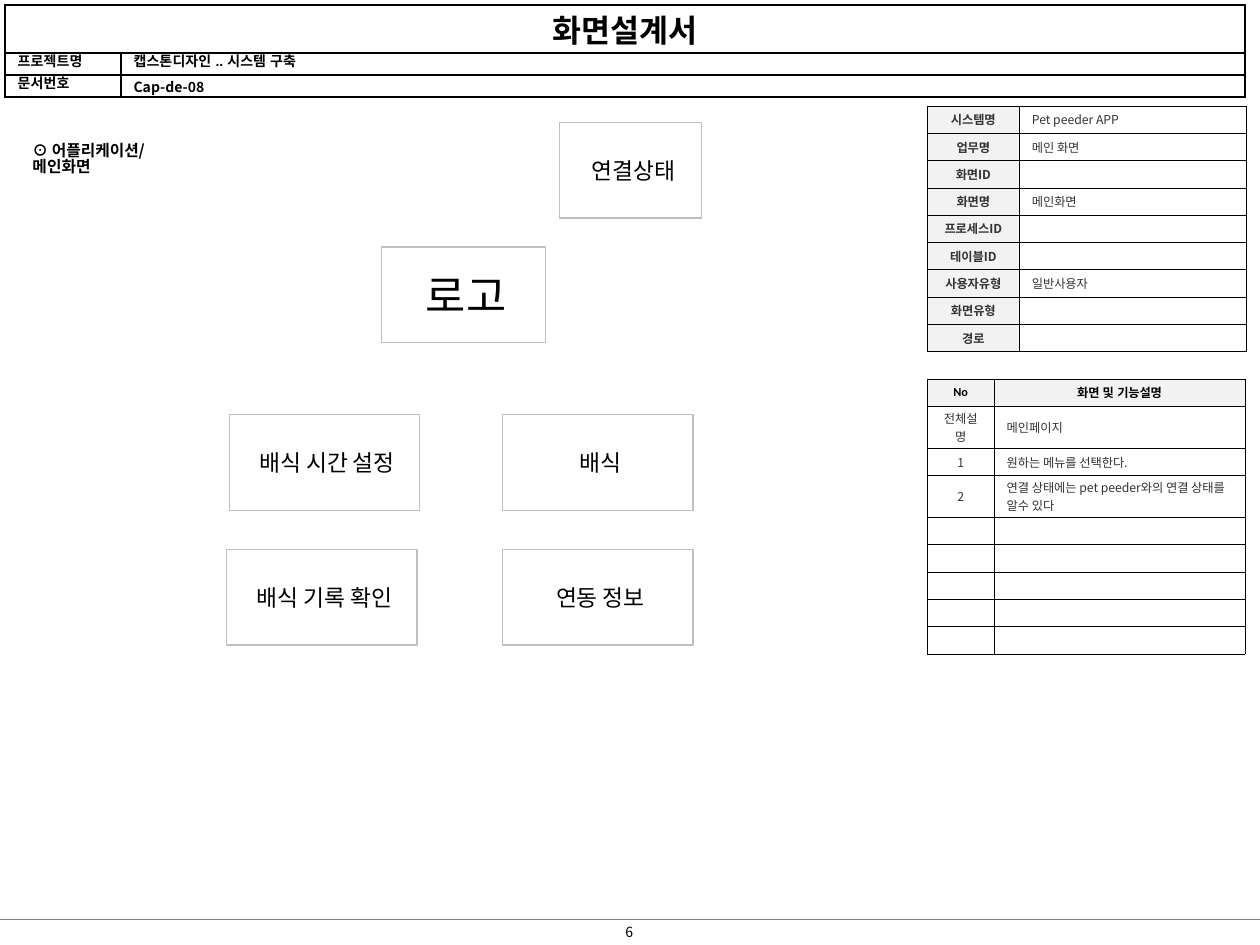
import dataclasses

import lxml.etree
import pptx
import pptx.dml.color
import pptx.enum.shapes
import pptx.enum.text
import pptx.oxml.ns
import pptx.util

Inches = pptx.util.Inches
Pt = pptx.util.Pt
RGB = pptx.dml.color.RGBColor.from_string
ALIGN = pptx.enum.text.PP_ALIGN
MIDDLE = pptx.enum.text.MSO_ANCHOR.MIDDLE
qn = pptx.oxml.ns.qn


@dataclasses.dataclass(frozen=True)
class Theme:
    """Colours, fonts and type sizes of the screen design sheet."""
    ink: str = "000000"
    body: str = "333333"
    paper: str = "FFFFFF"
    label: str = "F2F2F2"
    frame: str = "BFBFBF"
    rule: str = "808080"
    sans: str = "Noto Sans CJK KR"
    latin: str = "Arial"
    number: str = "Calibri"
    title: float = 18
    meta: float = 8
    heading: float = 9
    cell: float = 7
    button: float = 13
    logo: float = 25


THEME = Theme()


def add_run(paragraph, text, size, font=THEME.sans, color=THEME.ink, bold=False):
    """Add one styled run, with the same font for Latin and Korean."""
    run = paragraph.add_run()
    run.text = text
    run.font.size = Pt(size)
    run.font.bold = bold
    run.font.name = font
    run.font.color.rgb = RGB(color)
    lxml.etree.SubElement(run.font._element, qn("a:ea"), typeface=font)


def set_insets(holder, left, top, right, bottom):
    """Set the inner margins of a cell or text frame in inches."""
    holder.margin_left, holder.margin_top = Inches(left), Inches(top)
    holder.margin_right, holder.margin_bottom = Inches(right), Inches(bottom)


def style_cell(cell, border, fill, top=0.02, bottom=0.02):
    """Give a cell its borders, fill and margins."""
    properties = cell._tc.get_or_add_tcPr()
    for side in ("a:lnL", "a:lnR", "a:lnT", "a:lnB"):
        line = lxml.etree.SubElement(properties, qn(side), w=str(Pt(border)))
        solid = lxml.etree.SubElement(line, qn("a:solidFill"))
        lxml.etree.SubElement(solid, qn("a:srgbClr"), val=THEME.ink)
    if fill:
        cell.fill.solid()
        cell.fill.fore_color.rgb = RGB(fill)
    else:
        cell.fill.background()
    set_insets(cell, 0.1, top, 0.1, bottom)


def write_cell(cell, text, size, align=ALIGN.LEFT, **style):
    """Write a cell's text, or keep its empty line at the text size."""
    paragraph = cell.text_frame.paragraphs[0]
    paragraph.alignment = align
    if text:
        add_run(paragraph, text, size, **style)
    else:
        lxml.etree.SubElement(paragraph._p, qn("a:endParaRPr"), sz=str(size * 100))


def add_grid(slide, box, columns, rows):
    """Add a plain table with the given column widths and row heights."""
    frame = slide.shapes.add_table(len(rows), len(columns), *map(Inches, box))
    table = frame.table
    table.first_row = table.horz_banding = False
    for column, width in zip(table.columns, columns):
        column.width = Inches(width)
    for row, height in zip(table.rows, rows):
        row.height = Inches(height)
    return table


def add_document_header(slide, box):
    """Place the document title with project name and number."""
    label_width = 0.92
    table = add_grid(slide, box, [label_width, box[2] - label_width],
                     [0.38, 0.175, 0.175])
    for cell in table.iter_cells():
        style_cell(cell, 1, THEME.paper, 0.01, 0)
    title = table.cell(0, 0)
    title.merge(table.cell(0, 1))
    write_cell(title, "화면설계서", THEME.title, ALIGN.CENTER, bold=True)
    entries = [("프로젝트명", "캡스톤디자인 .. 시스템 구축", THEME.latin),
               ("문서번호", "Cap-de-08", THEME.sans)]
    for row, (label, value, font) in enumerate(entries, 1):
        write_cell(table.cell(row, 0), label, THEME.meta, font=THEME.latin, bold=True)
        write_cell(table.cell(row, 1), value, THEME.meta, font=font, bold=True)


def add_screen_info(slide, box):
    """Place the table of screen properties."""
    entries = [("시스템명", "Pet peeder APP"), ("업무명", "메인 화면"),
               ("화면ID", ""), ("화면명", "메인화면"), ("프로세스ID", ""),
               ("테이블ID", ""), ("사용자유형", "일반사용자"),
               ("화면유형", ""), ("경로", "")]
    label_width = 0.73
    table = add_grid(slide, box, [label_width, box[2] - label_width],
                     [box[3] / len(entries)] * len(entries))
    for row, (label, value) in enumerate(entries):
        for column, text in enumerate((label, value)):
            is_label = column == 0
            cell = table.cell(row, column)
            style_cell(cell, 0.25, THEME.label if is_label else None)
            cell.vertical_anchor = MIDDLE
            write_cell(cell, text, THEME.cell,
                       ALIGN.CENTER if is_label else ALIGN.LEFT,
                       color=THEME.body, bold=is_label)


def add_function_notes(slide, box):
    """Place the numbered table of screen functions."""
    entries = [("No", "화면 및 기능설명"), ("전체설명", "메인페이지"),
               ("1", "원하는 메뉴를 선택한다."),
               ("2", "연결 상태에는 pet peeder와의 연결 상태를 알수 있다")]
    entries += [("", "")] * 5
    two_line_rows, two_line_height = (1, 3), 0.33
    single = (box[3] - 2 * two_line_height) / (len(entries) - 2)
    heights = [two_line_height if row in two_line_rows else single
               for row in range(len(entries))]
    number_width = 0.53
    table = add_grid(slide, box, [number_width, box[2] - number_width], heights)
    for row, texts in enumerate(entries):
        is_head = row == 0
        for column, text in enumerate(texts):
            cell = table.cell(row, column)
            style_cell(cell, 0.25, THEME.label if is_head else None)
            cell.vertical_anchor = MIDDLE
            head_font = (THEME.number, THEME.latin)[column]
            write_cell(cell, text, THEME.cell,
                       ALIGN.CENTER if is_head or column == 0 else ALIGN.LEFT,
                       font=head_font if is_head else THEME.sans,
                       color=THEME.ink if is_head else THEME.body, bold=is_head)


def add_screen_heading(slide, box):
    """Place the two-line name of the screen."""
    frame = slide.shapes.add_textbox(*map(Inches, box)).text_frame
    frame.word_wrap = False
    heading = frame.paragraphs[0]
    heading.line_spacing = 0.85
    add_run(heading, "⊙ 어플리케이션/", THEME.heading, bold=True)
    heading.add_line_break()
    add_run(heading, "메인화면", THEME.heading, bold=True)


def add_button(slide, box, text, size=THEME.button):
    """Place one framed screen element with a centred caption."""
    button = slide.shapes.add_shape(
        pptx.enum.shapes.MSO_SHAPE.RECTANGLE, *map(Inches, box))
    button.shadow.inherit = False
    button.fill.solid()
    button.fill.fore_color.rgb = RGB(THEME.paper)
    button.line.color.rgb = RGB(THEME.frame)
    button.line.width = Pt(0.75)
    frame = button.text_frame
    frame.word_wrap = True
    frame.vertical_anchor = MIDDLE
    set_insets(frame, 0.08, 0.05, 0.04, 0.05)
    frame.paragraphs[0].alignment = ALIGN.CENTER
    add_run(frame.paragraphs[0], text, size)


def add_screen_mockup(slide, box):
    """Place the elements of the main screen inside the box."""
    left, top, width, height = box
    tall, wide = 0.76, 1.51
    right, bottom = left + width - wide, top + height - tall
    menu_top = top + 2.32
    add_button(slide, (left + 1.23, top + 0.99, 1.3, tall), "로고", THEME.logo)
    add_button(slide, (left + 0.02, menu_top, wide, tall), "배식 시간 설정")
    add_button(slide, (right, menu_top, wide, tall), "배식")
    add_button(slide, (left, bottom, wide, tall), "배식 기록 확인")
    add_button(slide, (right, bottom, wide, tall), "연동 정보")
    add_button(slide, (left + 2.64, top, 1.13, tall), "연결상태")


def add_footer(slide, box):
    """Place the footer rule and the centred page number."""
    left, top, width, height = box
    rule = slide.shapes.add_connector(
        pptx.enum.shapes.MSO_CONNECTOR.STRAIGHT,
        Inches(left), Inches(top), Inches(left + width), Inches(top))
    rule.line.color.rgb = RGB(THEME.rule)
    rule.line.width = Pt(0.75)
    lxml.etree.SubElement(rule._element.spPr, qn("a:effectLst"))
    page = slide.shapes.add_textbox(
        Inches(left + width / 2 - 0.28), Inches(top - 0.02),
        Inches(0.55), Inches(height)).text_frame
    page.word_wrap = True
    page.vertical_anchor = MIDDLE
    set_insets(page, 0, 0, 0, 0)
    page.paragraphs[0].alignment = ALIGN.CENTER
    add_run(page.paragraphs[0], "6", THEME.meta)


def main():
    """Build the screen design sheet and save it."""
    deck = pptx.Presentation()
    deck.slide_width, deck.slide_height = Inches(10), Inches(7.5)
    slide = deck.slides.add_slide(deck.slide_layouts[6])
    add_footer(slide, (0, 7.3, 10, 0.24))
    add_document_header(slide, (0.04, 0.04, 9.84, 0.73))
    add_function_notes(slide, (7.36, 3.01, 2.52, 2.18))
    add_screen_info(slide, (7.36, 0.84, 2.53, 1.95))
    add_screen_heading(slide, (0.16, 1.09, 1.64, 0.25))
    add_screen_mockup(slide, (1.8, 0.97, 3.7, 4.15))
    deck.save("out.pptx")


if __name__ == "__main__":
    main()
